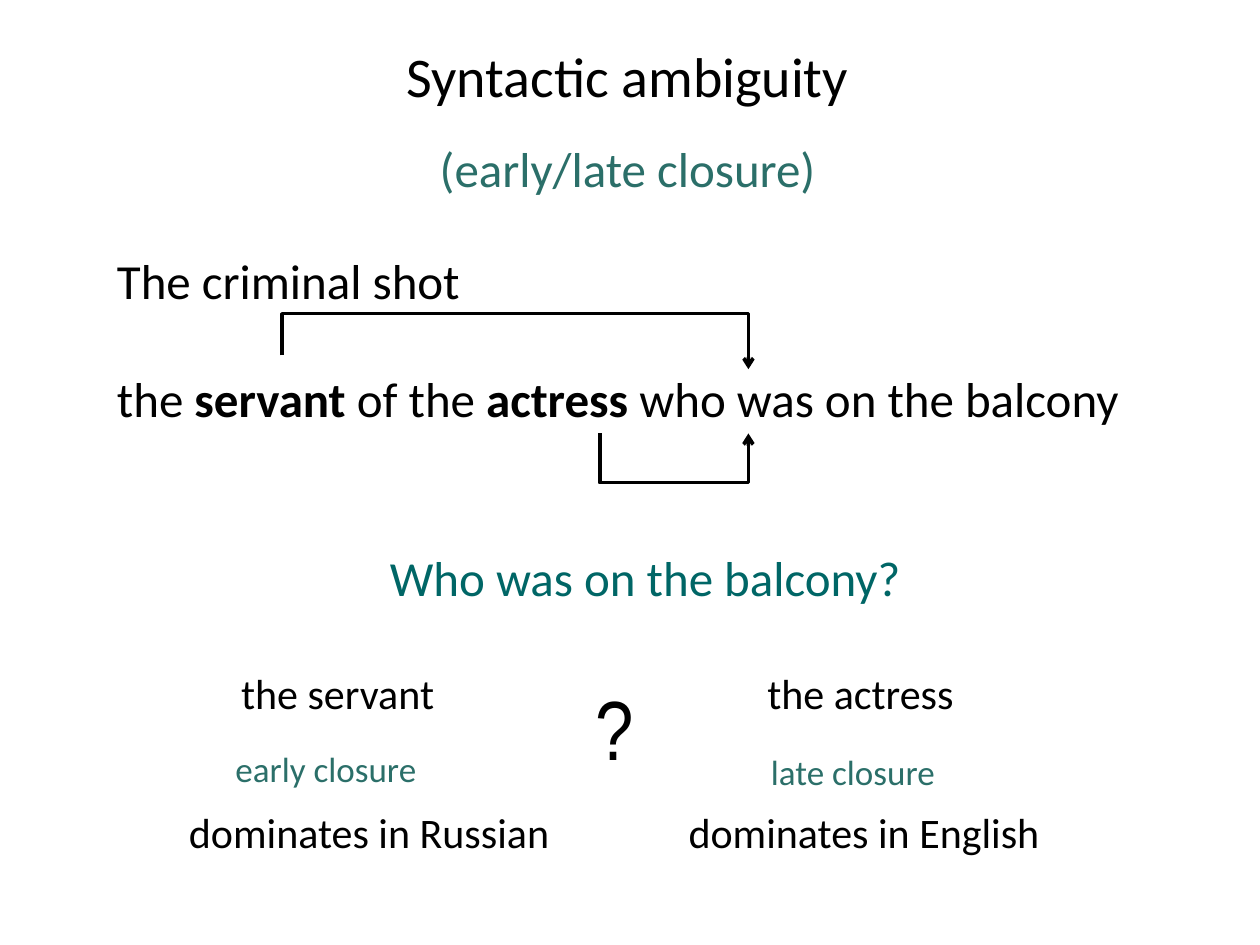
from lxml import etree
from pptx import Presentation
from pptx.dml.color import RGBColor
from pptx.enum import text
from pptx.oxml.ns import qn
from pptx.util import Inches, Pt

BLACK, GREEN, TEAL = "000000", "2B6F69", "006666"
LEFT, MID = text.PP_ALIGN.LEFT, text.PP_ALIGN.CENTER


def paint(code):
    return RGBColor.from_string(code)


def style(para, size, color=BLACK, align=LEFT, gap=0, font="Calibri"):
    para.alignment = align
    para.space_before = Pt(gap)
    for run in para.runs:
        run.font.size = Pt(size)
        run.font.name = font
        run.font.color.rgb = paint(color)


def place(shape, box):
    """Put a text shape at its box and return its text frame."""
    shape.left, shape.top, shape.width, shape.height = map(Inches, box)
    frame = shape.text_frame
    frame.word_wrap = True
    frame.auto_size = text.MSO_AUTO_SIZE.NONE
    frame.vertical_anchor = text.MSO_ANCHOR.TOP
    return frame


def label(slide, box, words, size, color=BLACK, align=MID, font="Calibri"):
    frame = place(slide.shapes.add_textbox(0, 0, 0, 0), box)
    frame.text = words
    style(frame.paragraphs[0], size, color, align, font=font)


def heading(slide, box):
    frame = place(slide.shapes.title, box)
    frame.text = "Syntactic ambiguity\n(early/late closure)"
    top, sub = frame.paragraphs
    style(top, 32, align=MID)
    style(sub, 28, GREEN, MID, gap=17)


def link(slide, points):
    """Draw an open bent line that ends in an arrow."""
    start, *rest = [(Inches(x), Inches(y)) for x, y in points]
    path = slide.shapes.build_freeform(*start)
    path.add_line_segments(rest, close=False)
    shape = path.convert_to_shape()
    shape.shadow.inherit = False
    shape.fill.background()
    shape.line.color.rgb = paint(BLACK)
    shape.line.width = Pt(2)
    etree.SubElement(shape.line._get_or_add_ln(), qn("a:tailEnd"), type="arrow")


def sentence(slide, box):
    x, y, w, h = box
    frame = place(slide.shapes.add_textbox(0, 0, 0, 0), box)
    frame.text = "The criminal shot"
    style(frame.paragraphs[0], 28)
    para = frame.add_paragraph()
    for i, part in enumerate(["the ", "servant", " of the ", "actress",
                              " who was on the balcony"]):
        run = para.add_run()
        run.text = part
        run.font.bold = i % 2 == 1
    style(para, 28, gap=34)
    end = x + 5.11
    for start, near, far, tip in [(3.93, 1.5, 1.89, 1.5),
                                  (1.41, 0.88, 0.55, 0.99)]:
        link(slide, [(x + start, y + near), (x + start, y + far),
                     (end, y + far), (end, y + tip)])


def answers(slide, box):
    x, y, w, h = box
    label(slide, (x + 0.2, y, 2.6, 0.51), "the servant", 24)
    label(slide, (x + 4.45, y, 2.4, 0.51), "the actress", 24)
    label(slide, (x + 0.59, y + 0.63, 1.97, 0.44), "early closure", 20, GREEN, LEFT)
    label(slide, (x + 4.84, y + 0.66, 2.13, 0.44), "late closure", 20, GREEN, LEFT)
    label(slide, (x + 3.03, y + 0.07, 1.34, 0.91), "?", 48, font="Arial Narrow")
    label(slide, (x, y + 1.1, 3.5, 0.51), "dominates in Russian", 24)
    label(slide, (x + 3.51, y + 1.1, 4.41, 0.51), "dominates in English ", 24)


def main():
    deck = Presentation()
    deck.slide_width, deck.slide_height = Inches(10), Inches(7.5)
    slide = deck.slides.add_slide(deck.slide_layouts[5])
    heading(slide, (0.67, 0.28, 8.62, 1.35))
    sentence(slide, (0.83, 1.94, 8.39, 1.99))
    label(slide, (1.93, 4.3, 6.38, 0.57), "Who was on the balcony?", 28, TEAL)
    answers(slide, (1.18, 5.25, 7.92, 1.61))
    deck.save("out.pptx")


if __name__ == "__main__":
    main()
